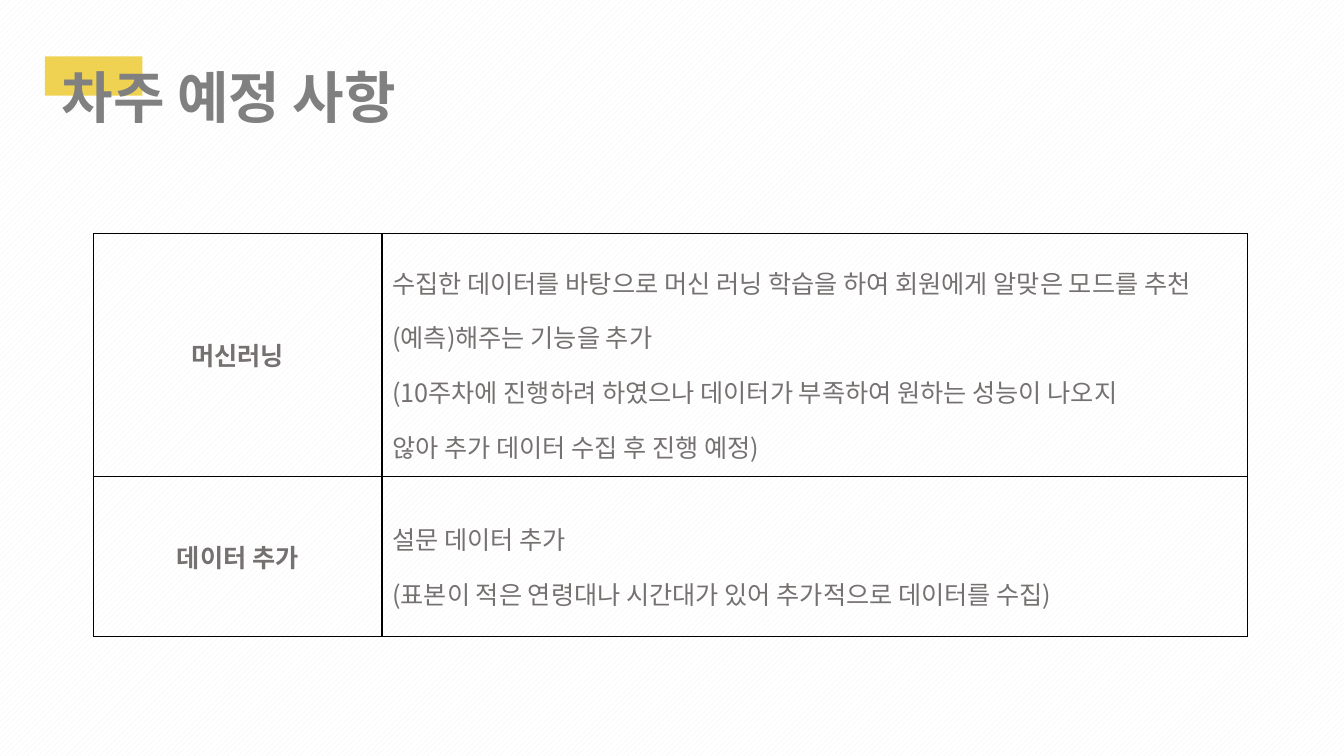
from dataclasses import dataclass

from lxml.etree import SubElement
from pptx import Presentation
from pptx.dml.color import RGBColor
from pptx.enum.dml import MSO_PATTERN
from pptx.enum.shapes import MSO_SHAPE
from pptx.enum.text import MSO_ANCHOR, MSO_AUTO_SIZE, PP_ALIGN
from pptx.oxml import parse_xml
from pptx.oxml.ns import nsdecls, qn
from pptx.util import Pt


@dataclass(frozen=True)
class Theme:
    font: str = "Noto Sans CJK KR"
    title_size: int = 40
    body_size: int = 18
    accent: str = "F0D252"
    title: str = "808080"
    body: str = "767171"
    border: str = "000000"
    paper: str = "FFFFFF"
    stripe: str = "F2F2F2"


@dataclass(frozen=True)
class Box:
    left: float
    top: float
    width: float
    height: float

    def lengths(self):
        return Pt(self.left), Pt(self.top), Pt(self.width), Pt(self.height)


THEME = Theme()
PLANS = [
    ("머신러닝", 173.5, [
        "수집한 데이터를 바탕으로 머신 러닝 학습을 하여 회원에게 알맞은 모드를 추천(예측)해주는 기능을 추가",
        "(10주차에 진행하려 하였으나 데이터가 부족하여 원하는 성능이 나오지",
        "않아 추가 데이터 수집 후 진행 예정)",
    ]),
    ("데이터 추가", 114.5, [
        "설문 데이터 추가",
        "(표본이 적은 연령대나 시간대가 있어 추가적으로 데이터를 수집)",
    ]),
]


def add_span(para, text, size, color, bold):
    span = para.add_run()
    span.text = text
    font = span.font
    font.size, font.bold, font.name = Pt(size), bold, THEME.font
    font.color.rgb = RGBColor.from_string(color)
    # Korean glyphs take the East Asian typeface
    SubElement(font._element, qn("a:ea"), typeface=THEME.font)


def paint_background(page):
    fill = page.background.fill
    fill.patterned()
    fill.pattern = MSO_PATTERN.WIDE_UPWARD_DIAGONAL
    fill.fore_color.rgb = RGBColor.from_string(THEME.stripe)
    fill.back_color.rgb = RGBColor.from_string(THEME.paper)


def add_heading(page, box, text):
    # Accent block behind the first word
    accent = page.shapes.add_shape(
        MSO_SHAPE.RECTANGLE, *Box(box.left, box.top, 69.8, 28).lengths())
    accent.shadow.inherit = False
    accent.fill.solid()
    accent.fill.fore_color.rgb = RGBColor.from_string(THEME.accent)
    accent.line.fill.background()

    # Title text, set slightly inside the block
    title_box = Box(box.left + 5, box.top + 0.7, box.width - 5, box.height - 0.7)
    frame = page.shapes.add_textbox(*title_box.lengths()).text_frame
    frame.word_wrap = True
    frame.auto_size = MSO_AUTO_SIZE.SHAPE_TO_FIT_TEXT
    add_span(frame.paragraphs[0], text, THEME.title_size, THEME.title, True)


def fill_cell(cell, lines, bold, align, spacing):
    cell.vertical_anchor = MSO_ANCHOR.MIDDLE
    cell.fill.background()
    frame = cell.text_frame
    for index, line in enumerate(lines):
        para = frame.add_paragraph() if index else frame.paragraphs[0]
        para.alignment = align
        para.line_spacing = spacing
        add_span(para, line, THEME.body_size, THEME.body, bold)

    # Borders come before the fill in the cell properties
    properties = cell._tc.get_or_add_tcPr()
    for index, side in enumerate(("lnL", "lnR", "lnT", "lnB")):
        properties.insert(index, parse_xml(
            f'<a:{side} {nsdecls("a")} w="{Pt(1)}"><a:solidFill>'
            f'<a:srgbClr val="{THEME.border}"/></a:solidFill></a:{side}>'))


def add_plan_table(page, box, plans):
    table = page.shapes.add_table(len(plans), 2, *box.lengths()).table
    table.first_row = table.horz_banding = False
    label_width = box.width / 4
    table.columns[0].width = Pt(label_width)
    table.columns[1].width = Pt(box.width - label_width)
    for index, (label, height, details) in enumerate(plans):
        table.rows[index].height = Pt(height)
        fill_cell(table.cell(index, 0), [label], True, PP_ALIGN.CENTER, 1.0)
        fill_cell(table.cell(index, 1), details, False, PP_ALIGN.LEFT, 1.5)


def main():
    deck = Presentation()
    deck.slide_width, deck.slide_height = Pt(960), Pt(540)
    page = deck.slides.add_slide(deck.slide_layouts[6])
    paint_background(page)
    add_heading(page, Box(32, 40.3, 765, 56), "차주 예정 사항")
    add_plan_table(page, Box(66.8, 166.8, 824.4, 288), PLANS)
    deck.save("out.pptx")


if __name__ == "__main__":
    main()
